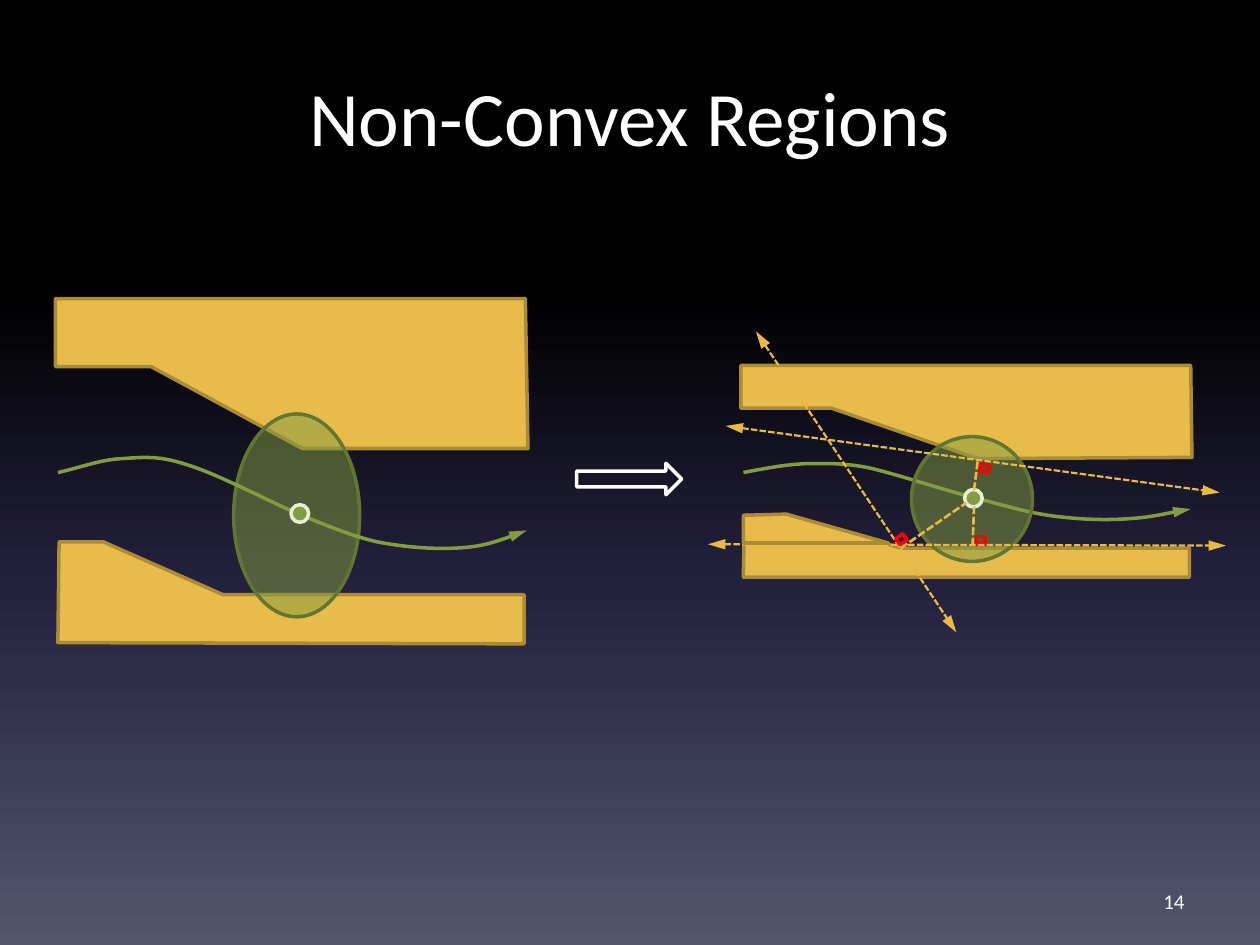
from lxml import etree
from pptx import Presentation
from pptx import util as u
from pptx.dml import color
from pptx.enum import dml, shapes, text
from pptx.oxml import ns

COLORS = {
    "black": "000000", "indigo": "24213E", "slate": "51566D", "white": "FFFFFF",
    "wall": "E8BC4A", "wall_edge": "AC8B37", "dash": "E7BA45", "red": "FF0000",
    "green": "839C41", "green_edge": "627531", "pale": "E7EED6",
}


def write(frame, content, size, align, anchor):
    frame.word_wrap = True
    frame.vertical_anchor = anchor
    para = frame.paragraphs[0]
    para.alignment = align
    span = para.add_run()
    span.text = content
    span.font.name = "Calibri"
    span.font.size = u.Pt(size)
    span.font.color.rgb = color.RGBColor.from_string(COLORS["white"])


def paint(item, edge, width=2, fill=None, alpha=None, heads=()):
    item.line.color.rgb = color.RGBColor.from_string(COLORS[edge])
    item.line.width = u.Pt(width)
    properties = item.element.spPr
    if fill:
        item.fill.solid()
        item.fill.fore_color.rgb = color.RGBColor.from_string(COLORS[fill])
        if alpha:
            shade = properties.find(ns.qn("a:solidFill"))[0]
            etree.SubElement(shade, ns.qn("a:alpha"), val=str(alpha * 1000))
    elif hasattr(item, "fill"):
        item.fill.background()
    for head in heads:
        etree.SubElement(properties.find(ns.qn("a:ln")), ns.qn("a:" + head),
                         type="triangle", w="med", len="lg")
    etree.SubElement(properties, ns.qn("a:effectLst"))


deck = Presentation()
deck.slide_width, deck.slide_height = u.Pt(720), u.Pt(540)
page = deck.slides.add_slide(deck.slide_layouts[5])

backdrop = page.background.fill
backdrop.gradient()
backdrop.gradient_angle = 270
stops = page.element.find(".//" + ns.qn("a:gsLst"))
for stop in list(stops):
    stops.remove(stop)
for position, name in [(0, "black"), (31, "black"), (62, "indigo"), (100, "slate")]:
    stop = etree.SubElement(stops, ns.qn("a:gs"), pos=str(position * 1000))
    etree.SubElement(stop, ns.qn("a:srgbClr"), val=COLORS[name])

title = page.shapes.title
title.left, title.top, title.width, title.height = u.Pt(36), u.Pt(36), u.Pt(648), u.Pt(90)
write(title.text_frame, "Non-Convex Regions", size=44,
      align=text.PP_ALIGN.CENTER, anchor=text.MSO_ANCHOR.TOP)
number = page.shapes.add_textbox(u.Pt(516), u.Pt(500.5), u.Pt(168), u.Pt(28.75))
write(number.text_frame, "14", size=12,
      align=text.PP_ALIGN.RIGHT, anchor=text.MSO_ANCHOR.MIDDLE)

drawing = [
    ("wall", [(425.5, 294.5), (450, 294.5), (514.8, 313.2), (679.7, 313.2),
              (679.7, 329.8), (424.8, 329.8)]),
    ("wall", [(423.4, 233.3), (475.2, 233.3), (558.7, 262.1), (681.1, 261.4),
              (680.4, 208.8), (423.4, 208.8)]),
    ("trail", [(424.8, 270), (437, 267.8), (447.1, 265.7), (459.4, 265),
               (470.9, 265), (479.5, 264.2), (495.4, 267.1),
               (511.9, 270.7), (539.3, 280.1), (556.6, 284.4),
               (573.8, 288.7), (584.6, 292.3), (599, 294.5),
               (613.4, 296.6), (628.6, 297.4), (642.2, 296.6),
               (655.9, 295.9), (668.2, 293), (680.4, 290.9)]),
    ("oval", (519.8, 250.6, 71.3, 69.1, 270)),
    ("wall", [(33.8, 309.6), (59, 309.6), (127.4, 339.8), (299.5, 339.8),
              (299.5, 367.9), (33.1, 367.2)]),
    ("wall", [(31.7, 209.5), (86.4, 209.5), (172.8, 256.3), (301.7, 256.3),
              (300.2, 170.6), (31.7, 170.6)]),
    ("oval", (111.6, 258.5, 115.9, 72, 270)),
    ("trail", [(33.1, 270), (46.1, 267.1), (56.9, 262.8), (69.1, 262.1),
               (81.4, 261.4), (90, 259.9), (107.3, 265.7),
               (123.8, 270.7), (152.6, 285.8), (170.6, 293.8),
               (188.6, 301), (200.2, 306), (215.3, 309.6),
               (230.4, 312.5), (246.2, 313.9), (260.6, 313.2),
               (275, 312.5), (288, 308.2), (301, 303.1)]),
    ("dot", (166.3, 288.4, 10.1, 10.1, 0)),
    ("arrow", (329.5, 264.7, 60, 18, 0)),
    ("dot", (551.2, 279.7, 10.1, 10.1, 0)),
    ("distance", (556.6, 280.1, 558.7, 263.5)),
    ("tangent", (414.7, 243.4, 697, 281.5)),
    ("corner", (560.2, 265.5, 5, 4.3, 8)),
    ("distance", (555.8, 311.8, 556.6, 289.4)),
    ("corner", (558, 306.7, 5, 4.3, 0)),
    ("tangent", (404.6, 311, 700.6, 311.8)),
    ("wall", [(424.8, 294.5), (424.8, 310.3), (507.6, 310.3), (449.3, 293.8)]),
    ("distance", (514.8, 313.2, 552.2, 287.3)),
    ("tangent", (432, 189.4, 546.5, 361.4)),
    ("corner", (512.6, 306, 5, 4.3, 326)),
]
presets = {
    "oval": shapes.MSO_SHAPE.OVAL, "dot": shapes.MSO_SHAPE.OVAL,
    "arrow": shapes.MSO_SHAPE.RIGHT_ARROW, "corner": shapes.MSO_SHAPE.RECTANGLE,
}
looks = {
    "wall": dict(edge="wall_edge", fill="wall"),
    "trail": dict(edge="green", heads=["tailEnd"]),
    "oval": dict(edge="green_edge", fill="green", alpha=51),
    "dot": dict(edge="pale", fill="green"),
    "arrow": dict(edge="white"),
    "corner": dict(edge="red"),
    "distance": dict(edge="dash", width=1.5),
    "tangent": dict(edge="dash", width=1.25, heads=["headEnd", "tailEnd"]),
}

for kind, data in drawing:
    if kind in ("wall", "trail"):
        points = [(u.Pt(x), u.Pt(y)) for x, y in data]
        builder = page.shapes.build_freeform(*points[0])
        builder.add_line_segments(points[1:], close=kind == "wall")
        item = builder.convert_to_shape()
        if kind == "trail":
            outline = item.element.find(".//" + ns.qn("a:path"))
            segments = outline.findall(ns.qn("a:lnTo"))
            for start in range(0, len(segments), 3):
                curve = etree.SubElement(outline, ns.qn("a:cubicBezTo"))
                for segment in segments[start:start + 3]:
                    curve.append(segment[0])
                    outline.remove(segment)
    elif kind in presets:
        left, top, width, height, turn = data
        item = page.shapes.add_shape(presets[kind], u.Pt(left), u.Pt(top), u.Pt(width), u.Pt(height))
        item.rotation = turn
    else:
        item = page.shapes.add_connector(shapes.MSO_CONNECTOR.STRAIGHT, *map(u.Pt, data))
        item.line.dash_style = dml.MSO_LINE.SQUARE_DOT
    paint(item, **looks[kind])

deck.save("out.pptx")
